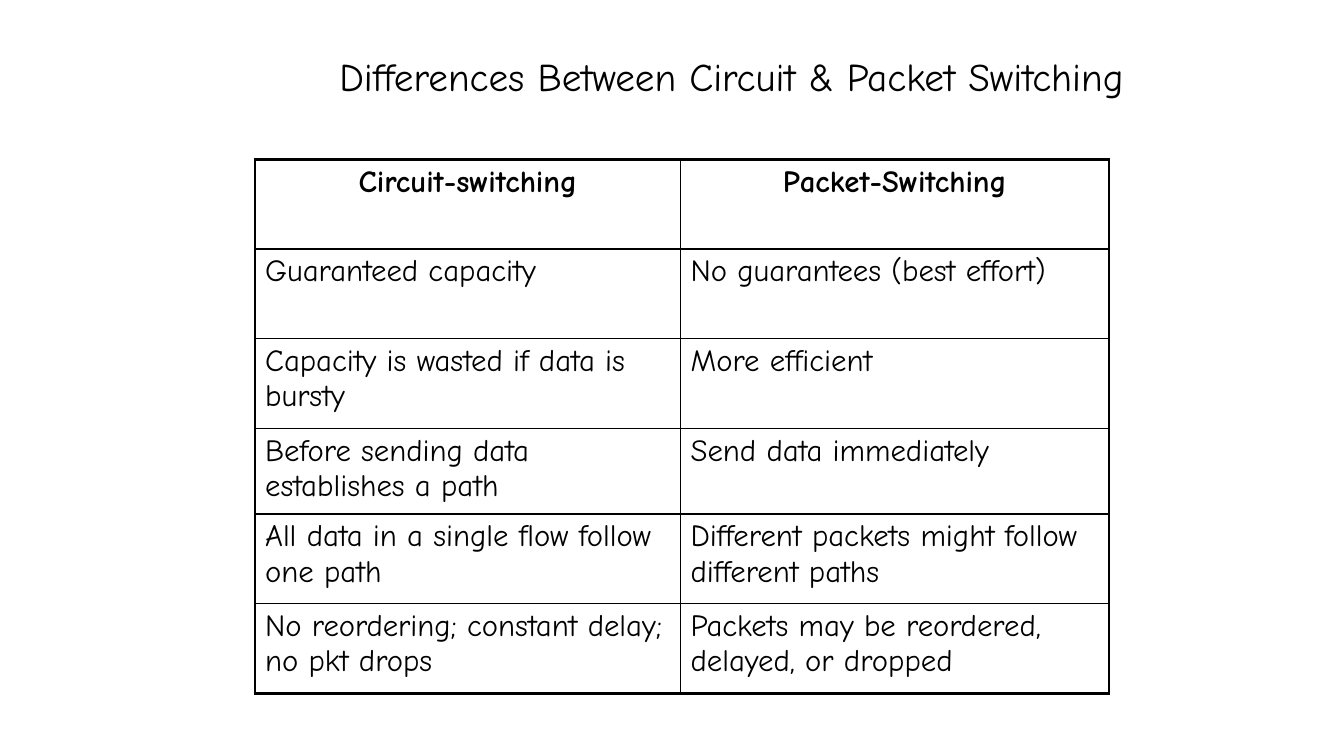
from typing import NamedTuple

from lxml.etree import SubElement
from pptx import Presentation
from pptx.dml.color import RGBColor
from pptx.enum.text import MSO_ANCHOR as Anchor, PP_ALIGN as Align
from pptx.oxml.ns import qn
from pptx.util import Inches, Pt

BLACK = RGBColor(0x00, 0x00, 0x00)
FONT = "Comic Neue"
THIN, THICK = 1, 2.25
WIDTHS = (4.22, 4.25)
TALL, SHORT = 0.89, 0.85


class Row(NamedTuple):
    circuit: str
    packet: str
    height: float = TALL
    head: bool = False


ROWS = [
    Row("Circuit-switching", "Packet-Switching", head=True),
    Row("Guaranteed capacity", "No guarantees (best effort)"),
    Row("Capacity is wasted if data is bursty", "More efficient"),
    Row("Before sending data establishes a path", "Send data immediately", SHORT),
    Row("All data in a single flow follow one path",
        "Different packets might follow different paths"),
    Row("No reordering; constant delay; no pkt drops",
        "Packets may be reordered, delayed, or dropped"),
]


def write(frame, text: str, *, size: float, align: Align = Align.LEFT,
          bold: bool = False, spacing: float = 1.0) -> None:
    frame.word_wrap = True
    para = frame.paragraphs[0]
    para.alignment = align
    para.line_spacing = spacing
    run = para.add_run()
    run.text = text
    font = run.font
    font.name, font.size, font.bold = FONT, Pt(size), bold
    font.color.rgb = BLACK


def border(cell, side: str, width: float) -> None:
    props = cell._tc.get_or_add_tcPr()
    line = SubElement(props, qn(f"a:ln{side}"), w=str(Pt(width)))
    fill = SubElement(line, qn("a:solidFill"))
    SubElement(fill, qn("a:srgbClr"), val=str(BLACK))


def add_title(slide) -> None:
    box = slide.shapes.add_textbox(Inches(1.99), Inches(0.16), Inches(9.25), Inches(1.25))
    box.text_frame.vertical_anchor = Anchor.MIDDLE
    write(box.text_frame, "Differences Between Circuit & Packet Switching",
          size=28, align=Align.RIGHT, spacing=0.9)


def add_grid(slide) -> None:
    height = sum(row.height for row in ROWS)
    table = slide.shapes.add_table(
        len(ROWS), len(WIDTHS), Inches(2.53), Inches(1.58),
        Inches(sum(WIDTHS)), Inches(height)).table
    table.first_row = table.horz_banding = False
    for col, width in zip(table.columns, WIDTHS):
        col.width = Inches(width)

    for r, row in enumerate(ROWS):
        table.rows[r].height = Inches(row.height)
        for c, text in enumerate((row.circuit, row.packet)):
            cell = table.cell(r, c)
            # Thick lines on the outer edge, thin ones inside
            outer = {"L": c == 0, "R": c == len(WIDTHS) - 1,
                     "T": r == 0, "B": r == len(ROWS) - 1}
            for side, edge in outer.items():
                border(cell, side, THICK if edge else THIN)
            cell.fill.background()
            write(cell.text_frame, text, size=22, bold=row.head,
                  align=Align.CENTER if row.head else Align.LEFT)


def main() -> None:
    deck = Presentation()
    deck.slide_width, deck.slide_height = Inches(13.33), Inches(7.5)
    slide = deck.slides.add_slide(deck.slide_layouts[6])
    add_title(slide)
    add_grid(slide)
    deck.save("out.pptx")


if __name__ == "__main__":
    main()
